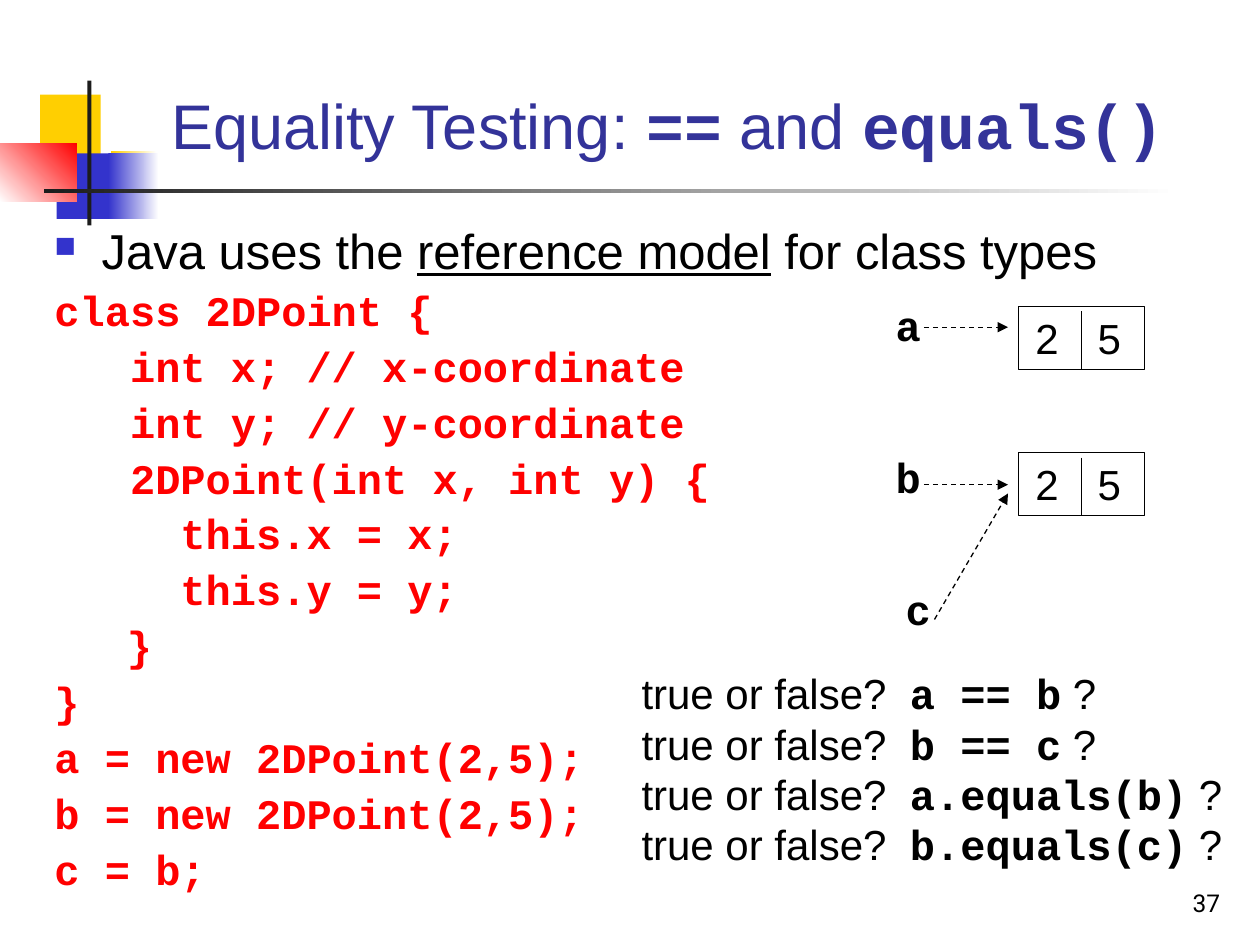
from dataclasses import dataclass

from lxml import etree
from pptx import Presentation
from pptx.dml.color import RGBColor
from pptx.enum.dml import MSO_LINE
from pptx.enum.shapes import MSO_CONNECTOR, MSO_SHAPE
from pptx.enum.text import MSO_ANCHOR, MSO_AUTO_SIZE, PP_ALIGN
from pptx.oxml.ns import qn
from pptx.util import Pt

RECT, LINE = MSO_SHAPE.RECTANGLE, MSO_CONNECTOR.STRAIGHT
DASH, GROW = MSO_LINE.DASH, MSO_AUTO_SIZE.SHAPE_TO_FIT_TEXT
TOP, BOTTOM = MSO_ANCHOR.TOP, MSO_ANCHOR.BOTTOM
LEFT, RIGHT = PP_ALIGN.LEFT, PP_ALIGN.RIGHT
SANS, MONO = "Arial", "Courier New"
BLACK, WHITE, DARK = "000000", "FFFFFF", "1C1C1C"
BLUE, GOLD, RED, NAVY = "3333CC", "FFCF01", "FF0000", "333399"


@dataclass
class Area:
    left: float
    top: float
    width: float
    height: float

    def pts(self) -> list:
        return [Pt(v) for v in (self.left, self.top, self.width, self.height)]


@dataclass
class Block:
    area: Area
    start: str
    end: str = ""
    angle: float = 0


@dataclass
class Span:
    text: str
    size: float = 24
    font: str = SANS
    color: str = BLACK
    line: bool = False


@dataclass
class Label:
    text: str
    left: float
    top: float


@dataclass
class Arrow:
    x1: float
    y1: float
    x2: float
    y2: float


def rgb(code: str) -> RGBColor:
    return RGBColor.from_string(code)


def add_block(slide, block: Block) -> None:
    shape = slide.shapes.add_shape(RECT, *block.area.pts())
    shape.shadow.inherit = False
    shape.line.fill.background()
    if block.end:
        shape.fill.gradient()
        shape.fill.gradient_angle = block.angle
        for stop, code in zip(shape.fill.gradient_stops, (block.start, block.end)):
            stop.color.rgb = rgb(code)
    else:
        shape.fill.solid()
        shape.fill.fore_color.rgb = rgb(block.start)


def add_span(para, span: Span) -> None:
    run = para.add_run()
    run.text = span.text
    font = run.font
    font.name, font.size = span.font, Pt(span.size)
    font.bold = span.font == MONO
    font.color.rgb = rgb(span.color)
    if span.line:
        font.underline = True


def add_text(slide, area: Area, rows: list[list[Span]], wrap: bool = True,
             anchor=TOP, align=LEFT) -> list:
    frame = slide.shapes.add_textbox(*area.pts()).text_frame
    frame.word_wrap = wrap
    if not wrap:
        frame.auto_size = GROW
    frame.vertical_anchor = anchor
    paras = []
    for i, row in enumerate(rows):
        para = frame.add_paragraph() if i else frame.paragraphs[0]
        para.alignment = align
        for span in row:
            add_span(para, span)
        paras.append(para)
    return paras


def add_line(slide, at: Arrow, arrow: bool = False):
    line = slide.shapes.add_connector(
        LINE, *[Pt(v) for v in (at.x1, at.y1, at.x2, at.y2)])
    line.line.color.rgb = rgb(BLACK)
    line.line.width = Pt(0.75)
    if arrow:
        line.line.dash_style = DASH
        etree.SubElement(line.line._get_or_add_ln(), qn("a:tailEnd"), type="triangle")
    etree.SubElement(line._element.spPr, qn("a:effectLst"))
    return line


def add_point(slide, left: float, top: float, x: str, y: str) -> None:
    """Box of an object with its two fields and the rule between them."""
    box = slide.shapes.add_shape(RECT, *Area(left, top, 72, 36).pts())
    box.shadow.inherit = False
    box.fill.background()
    box.line.color.rgb = rgb(BLACK)
    box.line.width = Pt(0.75)
    for text, shift in ((x, 2.6), (y, 38.2)):
        add_text(slide, Area(left + shift, top, 27.4, 36), [[Span(text)]], wrap=False)
    rule = add_line(slide, Arrow(left + 36, top + 3, left + 36, top + 36))
    rule.end_connect(box, 2)


def add_bullet(para) -> None:
    props = para._p.get_or_add_pPr()
    color = etree.SubElement(props, qn("a:buClr"))
    etree.SubElement(color, qn("a:srgbClr"), val=BLUE)
    etree.SubElement(props, qn("a:buSzPct"), val="60000")
    etree.SubElement(props, qn("a:buChar"), char="■")


BLOCKS = [
    Block(Area(23, 54, 34.5, 37.5), GOLD),
    Block(Area(63.4, 86.4, 26, 37.5), GOLD, WHITE),
    Block(Area(32.4, 87.6, 33, 37.5), BLUE),
    Block(Area(62, 87.6, 28.8, 37.5), BLUE, WHITE),
    Block(Area(0, 82, 44, 33.3), WHITE, RED, 45),
    Block(Area(49.9, 46, 2.4, 82.8), DARK),
    Block(Area(25.2, 108, 648, 2.4), DARK, WHITE),
]
CODE = [
    "class 2DPoint {",
    "   int x; // x-coordinate",
    "   int y; // y-coordinate",
    "   2DPoint(int x, int y) {",
    "     this.x = x;",
    "     this.y = y;",
    "\t }",
    "}",
    "a = new 2DPoint(2,5);",
    "b = new 2DPoint(2,5);",
    "c = b;",
]
LABELS = [Label("a", 504.7, 167.8), Label("b", 504.7, 254.2), Label("c", 510.5, 329.8)]
ARROWS = [Arrow(528, 187, 576, 187), Arrow(528, 277, 576, 277),
          Arrow(534, 354, 576, 282)]
TESTS = ["a == b", "b == c", "a.equals(b)", "b.equals(c)"]


def main() -> None:
    deck = Presentation()
    deck.slide_width, deck.slide_height = Pt(720), Pt(540)
    slide = deck.slides.add_slide(deck.slide_layouts[6])

    # Corner decoration
    for block in BLOCKS:
        add_block(slide, block)

    # Slide number and title
    add_text(slide, Area(554.4, 491.8, 150, 36), [[Span("37", 14, "Roboto")]],
             anchor=BOTTOM, align=RIGHT)
    title = [("Equality Testing: ", SANS), ("==", MONO), (" and ", SANS),
             ("equals()", MONO)]
    add_text(slide, Area(90.7, 17, 613.4, 79.2),
             [[Span(text, 36, font, NAVY) for text, font in title]], anchor=BOTTOM)

    # Bullet and code
    lead = [Span("Java uses the ", 28), Span("reference model", 28, line=True),
            Span(" for class types", 28)]
    code = [[Span(text, 24, MONO, RED)] for text in CODE]
    paras = add_text(slide, Area(24, 126, 660, 408), [lead] + code)
    for i, para in enumerate(paras):
        para.line_spacing = 0.9
        if i:
            para.space_before = Pt(6)
        props = para._p.get_or_add_pPr()
        props.set("marL", str(Pt(27)))
        props.set("indent", str(Pt(-27)))
    add_bullet(paras[0])

    # Objects and references
    for top in (175, 258.5):
        add_point(slide, 582, top, "2", "5")
    for label in LABELS:
        add_text(slide, Area(label.left, label.top, 28.8, 36),
                 [[Span(label.text, 24, MONO)]], wrap=False)
    for arrow in ARROWS:
        add_line(slide, arrow, arrow=True)

    # Questions
    add_text(slide, Area(359.5, 378, 350, 122.4),
             [[Span("true or false?  "), Span(test, 24, MONO), Span(" ?")]
              for test in TESTS], wrap=False)

    deck.save("out.pptx")


if __name__ == "__main__":
    main()
